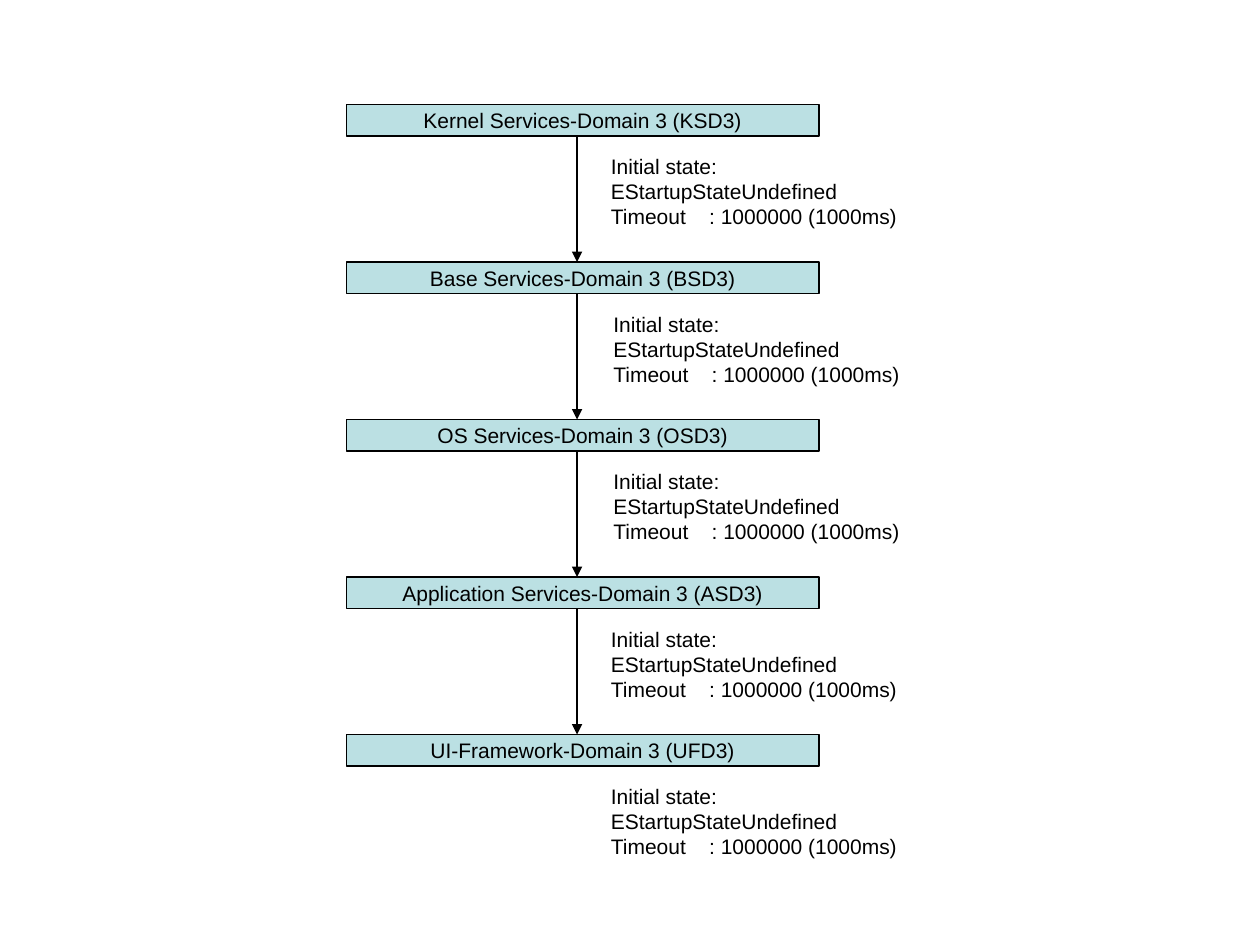
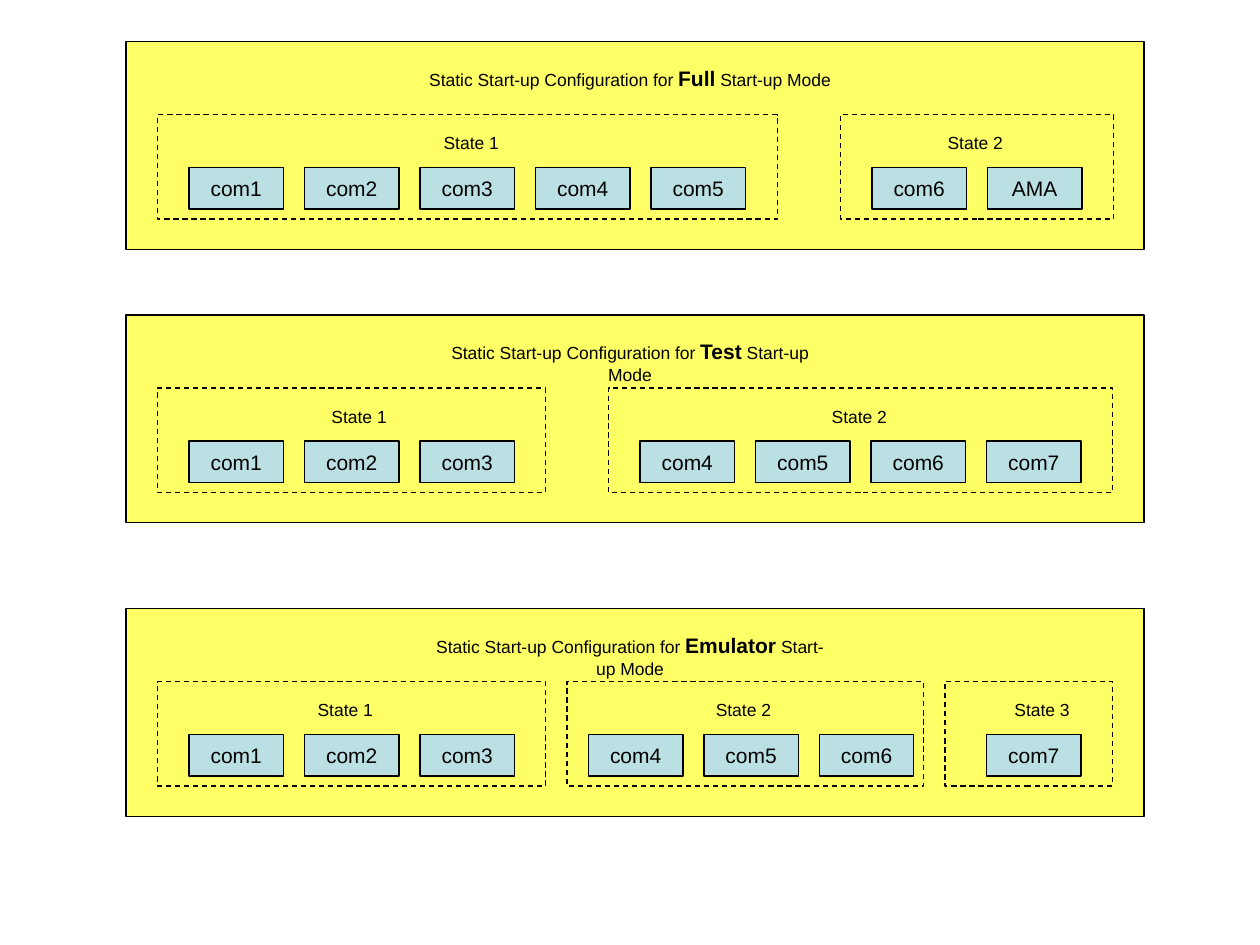
import pptx
import pptx.util
from lxml import etree
from pptx.dml.color import RGBColor
from pptx.enum.dml import MSO_LINE
from pptx.enum.shapes import MSO_CONNECTOR, MSO_SHAPE
from pptx.enum.text import MSO_ANCHOR, MSO_AUTO_SIZE, PP_ALIGN
from pptx.oxml.ns import qn
from pptx.util import Inches

BLACK = RGBColor(0x00, 0x00, 0x00)
BLUE = RGBColor(0xBB, 0xE0, 0xE3)
YELLOW = RGBColor(0xFF, 0xFF, 0x66)
FONT = "Arial"
LINE_WIDTH = pptx.util.Pt(0.75)

# Domain chain: name and left edge of its note
DOMAINS = [
    ("Kernel Services-Domain 3 (KSD3)", 4.75),
    ("Base Services-Domain 3 (BSD3)", 4.77),
    ("OS Services-Domain 3 (OSD3)", 4.77),
    ("Application Services-Domain 3 (ASD3)", 4.75),
    ("UI-Framework-Domain 3 (UFD3)", 4.75),
]
DOMAIN_TOP, DOMAIN_STEP, DOMAIN_HEIGHT = 0.83, 1.25, 0.25
ARROW_X = 4.58

# Start-up modes: mode, panel top, states
# State: left, width, label centre, left of first component, components
MODES = [
    ("Full", 0.33, [
        (1.25, 4.92, 3.74, 1.5, ["com1", "com2", "com3", "com4", "com5"]),
        (6.67, 2.17, 7.74, 6.92, ["com6", "AMA"]),
    ]),
    ("Test", 2.5, [
        (1.25, 3.08, 2.85, 1.5, ["com1", "com2", "com3"]),
        (4.83, 4, 6.82, 5.08, ["com4", "com5", "com6", "com7"]),
    ]),
    ("Emulator", 4.83, [
        (1.25, 3.08, 2.74, 1.5, ["com1", "com2", "com3"]),
        (4.5, 2.83, 5.9, 4.67, ["com4", "com5", "com6"]),
        (7.5, 1.33, 8.27, 7.83, ["com7"]),
    ]),
]
COMPONENT_STEP = 11 / 12


def add_run(p, text, size=12, bold=False):
    r = p.add_run()
    r.text = text
    r.font.name = FONT
    r.font.size = pptx.util.Pt(size)
    r.font.bold = bold
    r.font.color.rgb = BLACK


def add_box(s, left, top, width, height, fill=None, text=None, dashed=False):
    sp = s.shapes.add_shape(MSO_SHAPE.RECTANGLE, Inches(left), Inches(top),
                            Inches(width), Inches(height))
    sp.shadow.inherit = False
    if fill is None:
        sp.fill.background()
    else:
        sp.fill.solid()
        sp.fill.fore_color.rgb = fill
    sp.line.color.rgb = BLACK
    sp.line.width = LINE_WIDTH
    if dashed:
        sp.line.dash_style = MSO_LINE.DASH
    if text:
        tf = sp.text_frame
        tf.word_wrap = False
        tf.vertical_anchor = MSO_ANCHOR.MIDDLE
        tf.paragraphs[0].alignment = PP_ALIGN.CENTER
        add_run(tf.paragraphs[0], text)


def add_label(s, left, top, width, height, align=PP_ALIGN.CENTER):
    """Add an unwrapped text box and return its text frame."""
    tf = s.shapes.add_textbox(Inches(left), Inches(top),
                              Inches(width), Inches(height)).text_frame
    tf.word_wrap = False
    tf.auto_size = MSO_AUTO_SIZE.SHAPE_TO_FIT_TEXT
    tf.paragraphs[0].alignment = align
    return tf


def add_down_arrow(s, x, top, bottom):
    line = s.shapes.add_connector(MSO_CONNECTOR.STRAIGHT, Inches(x), Inches(top),
                                  Inches(x), Inches(bottom))
    line.line.color.rgb = BLACK
    line.line.width = LINE_WIDTH
    etree.SubElement(line.line._get_or_add_ln(), qn("a:tailEnd"), type="triangle")
    etree.SubElement(line._element.spPr, qn("a:effectLst"))


def add_note(s, left, top):
    tf = add_label(s, left, top, 2.88, 0.5, align=PP_ALIGN.LEFT)
    add_run(tf.paragraphs[0], "Initial state: EStartupStateUndefined")
    p = tf.add_paragraph()
    tabs = etree.SubElement(p._p.get_or_add_pPr(), qn("a:tabLst"))
    etree.SubElement(tabs, qn("a:tab"), pos=str(Inches(0.78)), algn="l")
    add_run(p, "Timeout\t: 1000000 (1000ms)")


def add_state(s, number, panel_top, state):
    left, width, centre, first, components = state
    add_box(s, left, panel_top + 0.58, width, 0.83, dashed=True)
    tf = add_label(s, centre - 0.32, panel_top + 0.67, 0.64, 0.27)
    add_run(tf.paragraphs[0], f"State {number}", size=10)
    for i, name in enumerate(components):
        add_box(s, first + i * COMPONENT_STEP, panel_top + 1, 0.75, 0.33, BLUE, name)


def add_mode_panel(s, mode, top, states):
    add_box(s, 1, top, 8.08, 1.65, YELLOW)
    p = add_label(s, 3.3, top + 0.14, 3.4, 0.3).paragraphs[0]
    add_run(p, "Static Start-up Configuration for ", size=10)
    add_run(p, mode, bold=True)
    add_run(p, " Start-up Mode", size=10)
    for number, state in enumerate(states, 1):
        add_state(s, number, top, state)


def build_domain_chain(s):
    for i, (name, note_left) in enumerate(DOMAINS):
        top = DOMAIN_TOP + i * DOMAIN_STEP
        add_box(s, 2.75, top, 3.75, DOMAIN_HEIGHT, BLUE, name)
        add_note(s, note_left, top + 0.34)
        if i < len(DOMAINS) - 1:
            add_down_arrow(s, ARROW_X, top + DOMAIN_HEIGHT, top + DOMAIN_STEP)


def main():
    prs = pptx.Presentation()
    prs.slide_width, prs.slide_height = Inches(10), Inches(7.5)
    blank = prs.slide_layouts[6]
    build_domain_chain(prs.slides.add_slide(blank))
    s = prs.slides.add_slide(blank)
    for mode, top, states in MODES:
        add_mode_panel(s, mode, top, states)
    prs.save("out.pptx")


if __name__ == "__main__":
    main()
